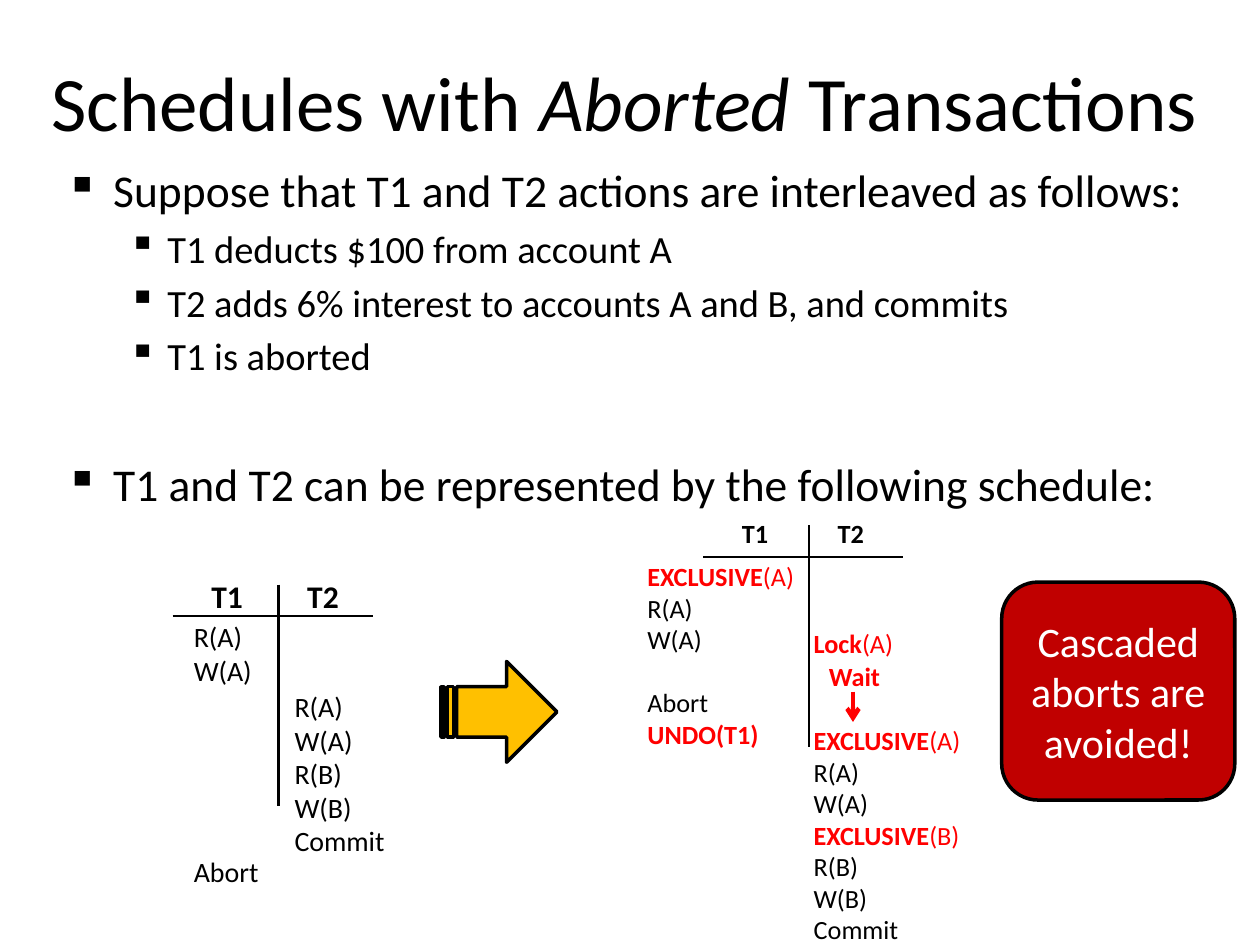
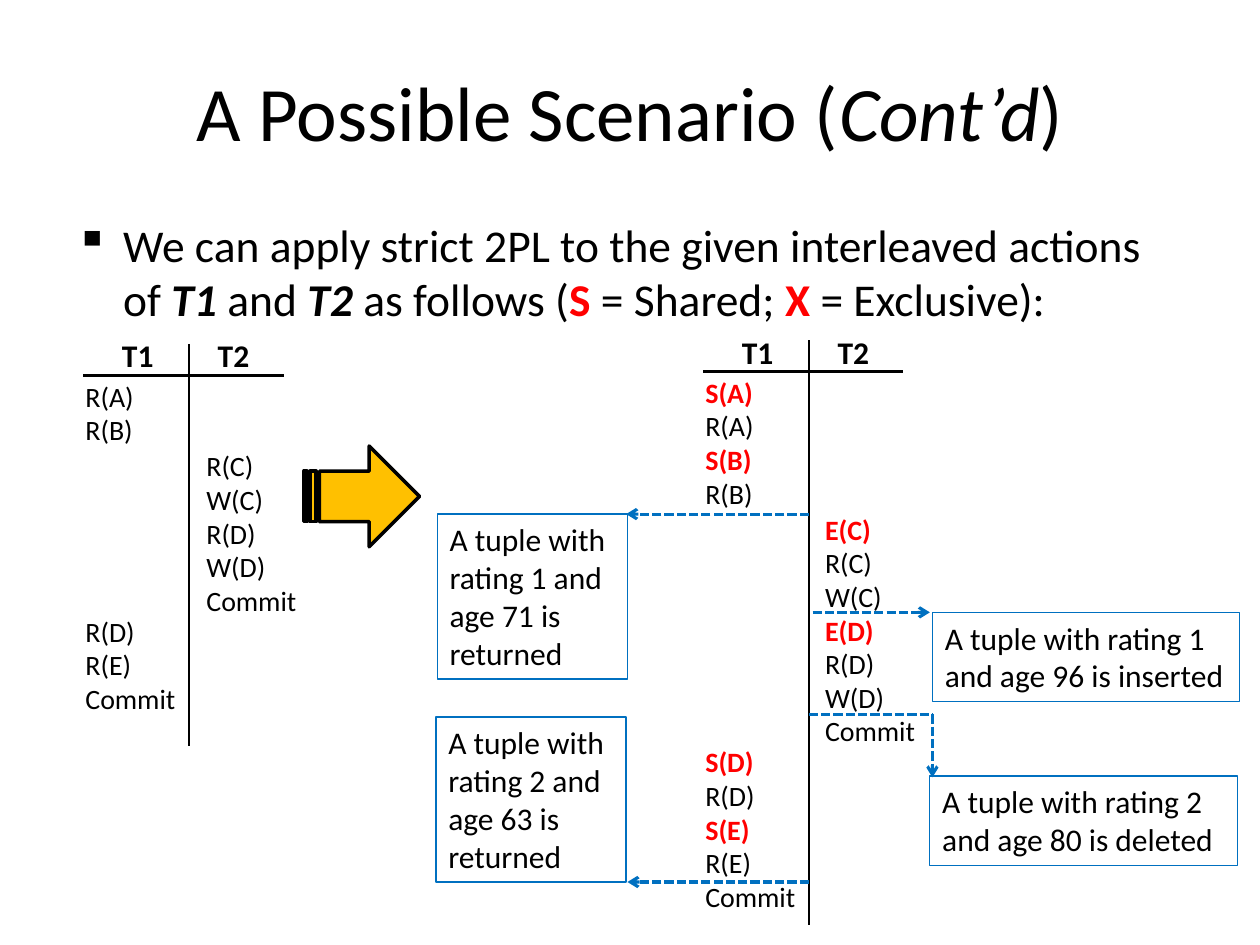
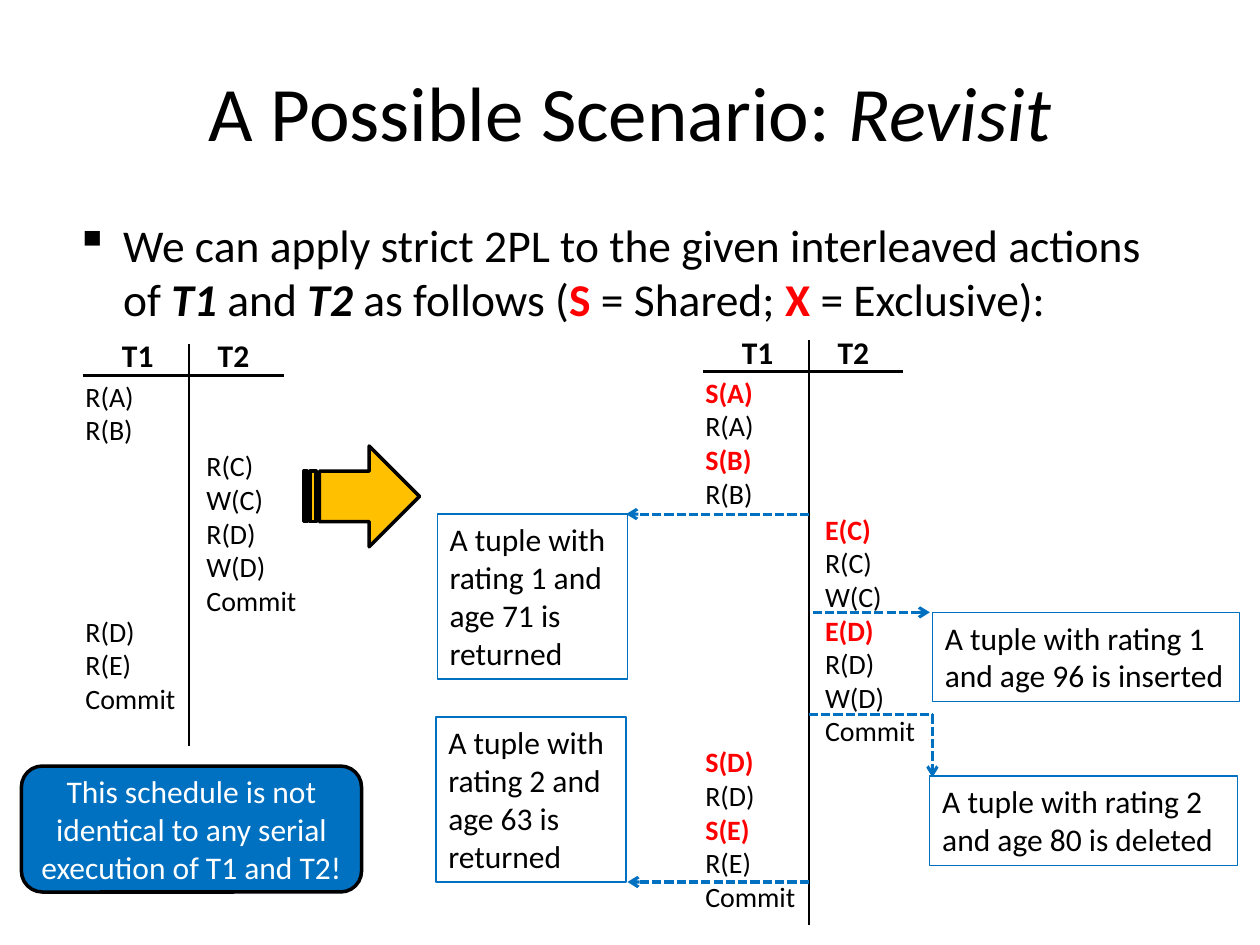
"""Builds three slides on locking schedules for interleaved transactions."""
import pptx
import pptx.util
import pptx.dml.color
import pptx.enum.dml
import pptx.enum.shapes
import pptx.enum.text
import pptx.oxml.ns
import lxml.etree

Inches = pptx.util.Inches
Pt = pptx.util.Pt
Shape = pptx.enum.shapes.MSO_SHAPE

COLORS = {"ink": "000000", "lock": "FF0000", "note": "0070C0",
          "step": "FFC000", "alert": "C00000", "light": "FFFFFF"}


def rgb(color):
    """Return the named colour."""
    return pptx.dml.color.RGBColor.from_string(COLORS[color])


def add_xml(parent, tag, **attributes):
    """Append a DrawingML element to the parent."""
    return lxml.etree.SubElement(parent, pptx.oxml.ns.qn(tag), attributes)


class Deck:
    """Holds the shared style and the current slide."""

    font = "Calibri"
    line_height = 1.2

    def __init__(self):
        """Start an empty 10 by 7.5 inch presentation."""
        self.presentation = pptx.Presentation()
        self.presentation.slide_width = Inches(10)
        self.presentation.slide_height = Inches(7.5)
        self.slide = None

    def new_slide(self):
        """Add a blank slide and make it current."""
        self.slide = self.presentation.slides.add_slide(self.presentation.slide_layouts[6])

    def add_runs(self, paragraph, content, size, color="ink", style=""):
        """Fill a paragraph from a string or (text, style) pairs; b bold, i italic, r red."""
        pairs = [(content, style)] if isinstance(content, str) else content
        for text, marks in pairs:
            run = paragraph.add_run()
            run.text = text
            run.font.name = self.font
            run.font.size = Pt(size)
            run.font.bold = "b" in marks
            run.font.italic = "i" in marks
            run.font.color.rgb = rgb("lock" if "r" in marks else color)

    def frame(self, left, top, width, height):
        """Add a wrapping text box and return its text frame."""
        box = self.slide.shapes.add_textbox(Inches(left), Inches(top), Inches(width), Inches(height))
        box.text_frame.word_wrap = True
        return box.text_frame

    def label(self, left, top, width, content, size, style="b"):
        """Add one line of text."""
        self.add_runs(self.frame(left, top, width, 0.4).paragraphs[0], content, size, style=style)

    def title(self, content, left=0.5, top=0.25, width=9):
        """Add the centred slide title."""
        frame = self.frame(left, top, width, 1.25)
        frame.vertical_anchor = pptx.enum.text.MSO_ANCHOR.MIDDLE
        frame.paragraphs[0].alignment = pptx.enum.text.PP_ALIGN.CENTER
        self.add_runs(frame.paragraphs[0], content, 44)

    def bullets(self, left, top, width, items):
        """Add bulleted text from (level, extra space before, content) items."""
        frame = self.frame(left, top, width, 5.75)
        for index, (level, extra, content) in enumerate(items):
            paragraph = frame.add_paragraph() if index else frame.paragraphs[0]
            size, margin, hanging = ((26, 0.38, 0.38), (22, 0.81, 0.31))[level]
            paragraph.level = level
            paragraph.space_before = Pt(0.2 * size + extra)
            self.add_runs(paragraph, content, size)
            properties = paragraph._p.get_or_add_pPr()
            properties.set("marL", str(Inches(margin)))
            properties.set("indent", str(-Inches(hanging)))
            add_xml(properties, "a:buChar", char="▪")

    def steps(self, left, top, rows, size=16, width=1.0):
        """Add a column of actions, where a number stands for that many idle rows."""
        pitch = size * self.line_height
        if isinstance(rows[0], int):
            top += rows[0] * pitch / 72
            rows = rows[1:]
        frame = self.frame(left, top, width, len(rows) * pitch / 72 + 0.1)
        paragraph, idle = frame.paragraphs[0], 0
        for row in rows:
            if isinstance(row, int):
                idle = row
                continue
            if paragraph.runs:
                paragraph = frame.add_paragraph()
            paragraph.space_before = Pt(idle * pitch)
            self.add_runs(paragraph, row, size)
            idle = 0

    def line(self, start, end, color="ink", weight=1.5, dashed=False, arrow=False):
        """Add a straight line, dashed or with an arrowhead on request."""
        connector = self.slide.shapes.add_connector(
            pptx.enum.shapes.MSO_CONNECTOR.STRAIGHT, *map(Inches, start + end))
        connector.line.color.rgb = rgb(color)
        connector.line.width = Pt(weight)
        if dashed:
            connector.line.dash_style = pptx.enum.dml.MSO_LINE.SQUARE_DOT
        if arrow:
            add_xml(connector.line._get_or_add_ln(), "a:tailEnd", type="arrow")
        add_xml(connector._element.spPr, "a:effectLst")

    def pointer(self, start, end, arrow=True):
        """Add a dashed line that leads to a note."""
        self.line(start, end, "note", 1.75, True, arrow)

    def shape(self, kind, left, top, width, height, fill=None, outline="ink", weight=2):
        """Add a flat preset shape."""
        shape = self.slide.shapes.add_shape(
            kind, Inches(left), Inches(top), Inches(width), Inches(height))
        shape.shadow.inherit = False
        if fill:
            shape.fill.solid()
            shape.fill.fore_color.rgb = rgb(fill)
        else:
            shape.fill.background()
        shape.line.color.rgb = rgb(outline)
        shape.line.width = Pt(weight)
        return shape

    def becomes(self, left, top):
        """Add the striped arrow between two schedules."""
        self.shape(Shape.STRIPED_RIGHT_ARROW, left, top, 0.92, 0.8, "step")

    def callout(self, left, top, width, height, fill, text, size):
        """Add a rounded conclusion box."""
        frame = self.shape(Shape.ROUNDED_RECTANGLE, left, top, width, height, fill).text_frame
        frame.word_wrap = True
        frame.vertical_anchor = pptx.enum.text.MSO_ANCHOR.MIDDLE
        frame.paragraphs[0].alignment = pptx.enum.text.PP_ALIGN.CENTER
        self.add_runs(frame.paragraphs[0], text, size, "light")

    def note(self, left, top, width, height, lines):
        """Add an outlined note with one paragraph per line."""
        frame = self.shape(Shape.RECTANGLE, left, top, width, height,
                           outline="note", weight=0.75).text_frame
        frame.word_wrap = True
        frame.vertical_anchor = pptx.enum.text.MSO_ANCHOR.TOP
        for index, text in enumerate(lines):
            paragraph = frame.add_paragraph() if index else frame.paragraphs[0]
            paragraph.alignment = pptx.enum.text.PP_ALIGN.LEFT
            self.add_runs(paragraph, text, 18)

    def schedule_axes(self, center, top, bottom, size=18):
        """Add the T1 and T2 headings with their dividing lines."""
        self.line((center, top), (center, bottom))
        self.line((center - 0.84, top + 0.25), (center + 0.75, top + 0.25))
        for name, offset in (("T1", -0.63), ("T2", 0.13)):
            self.label(center + offset, top - 0.11, 0.5, name, size)


def lock(text):
    """Return a lock request in bold red."""
    return [(text, "br")]


def lock_on(request, item):
    """Return a lock request in bold red and its item in plain red."""
    return [(request, "br"), (f"({item})", "r")]


def aborted_slide(deck):
    """Build the slide on aborted transactions."""
    deck.new_slide()
    deck.title([("Schedules with ", ""), ("Aborted", "i"), (" Transactions", "")], 0.08, 0.17, 9.75)
    deck.bullets(0.42, 1.24, 9.45, [
        (0, 0, "Suppose that T1 and T2 actions are interleaved as follows:"),
        (1, 0, "T1 deducts $100 from account A"),
        (1, 0, "T2 adds 6% interest to accounts A and B, and commits"),
        (1, 0, "T1 is aborted"),
        (0, 39, "T1 and T2 can be represented by the following schedule:")])
    deck.schedule_axes(2.21, 4.64, 6.4)
    deck.steps(1.44, 4.87, ["R(A)", "W(A)", 5, "Abort"])
    deck.steps(2.24, 4.89, [2, "R(A)", "W(A)", "R(B)", "W(B)", "Commit"])
    deck.becomes(3.5, 5.25)
    deck.schedule_axes(6.42, 4.17, 5.93, 15)
    deck.steps(5.04, 4.4, [lock_on("EXCLUSIVE", "A"), "R(A)", "W(A)", 1, "Abort",
                           lock("UNDO(T1)")], 15, 1.5)
    deck.steps(6.36, 4.7, [4, lock_on("EXCLUSIVE", "A"), "R(A)", "W(A)",
                           lock_on("EXCLUSIVE", "B"), "R(B)", "W(B)", "Commit"], 15, 1.5)
    deck.label(6.36, 4.93, 1, lock_on("Lock", "A"), 15)
    deck.label(6.48, 5.19, 0.8, "Wait", 15, "br")
    deck.line((6.77, 5.49), (6.77, 5.73), "lock", 2.5, arrow=True)
    deck.callout(7.95, 4.62, 1.85, 1.73, "alert", "Cascaded aborts are avoided!", 24)


def scenario_slide(deck, title):
    """Build a slide with the strict 2PL scenario."""
    deck.new_slide()
    deck.title(title)
    deck.bullets(0.5, 1.67, 9, [(0, 0, [
        ("We can apply strict 2PL to the given interleaved actions of ", ""), ("T1", "bi"),
        (" and ", ""), ("T2", "bi"), (" as follows (", ""), ("S", "br"),
        (" = Shared; ", ""), ("X", "br"), (" = Exclusive):", "")])])
    deck.schedule_axes(1.5, 2.73, 5.92)
    deck.steps(0.58, 2.96, ["R(A)", "R(B)", 5, "R(D)", "R(E)", "Commit"])
    deck.steps(1.54, 2.98, [2, "R(C)", "W(C)", "R(D)", "W(D)", "Commit"])
    deck.becomes(2.41, 3.54)
    deck.schedule_axes(6.42, 2.7, 7.34)
    deck.steps(5.5, 2.93, [lock("S(A)"), "R(A)", lock("S(B)"), "R(B)", 7,
                           lock("S(D)"), "R(D)", lock("S(E)"), "R(E)", "Commit"])
    deck.steps(6.45, 2.95, [4, lock("E(C)"), "R(C)", "W(C)",
                            lock("E(D)"), "R(D)", "W(D)", "Commit"])
    for left, top, rating, age in ((3.47, 4.08, 1, 71), (3.46, 5.69, 2, 63)):
        deck.note(left, top, 1.51, 1.31,
                  ["A tuple with", f"rating {rating} and", f"age {age} is", "returned"])
    for left, top, rating, outcome in ((7.4, 4.86, 1, "96 is inserted"),
                                       (7.38, 6.16, 2, "80 is deleted")):
        deck.note(left, top, 2.44, 0.71, [f"A tuple with rating {rating}", f"and age {outcome}"])
    deck.pointer((6.42, 4.08), (4.97, 4.08))
    deck.pointer((6.45, 4.86), (7.38, 4.86))
    deck.pointer((6.42, 5.67), (7.4, 5.67), arrow=False)
    deck.pointer((7.4, 5.67), (7.4, 6.17))
    deck.pointer((6.42, 7), (4.98, 7))


def main():
    """Build and save the presentation."""
    deck = Deck()
    aborted_slide(deck)
    scenario_slide(deck, [("A Possible Scenario (", ""), ("Cont’d", "i"), (")", "")])
    scenario_slide(deck, [("A Possible Scenario: ", ""), ("Revisit", "i")])
    deck.callout(0.17, 6.08, 2.7, 1, "note",
                 "This schedule is not identical to any serial execution of T1 and T2!", 18)
    deck.presentation.save("out.pptx")


if __name__ == "__main__":
    main()
